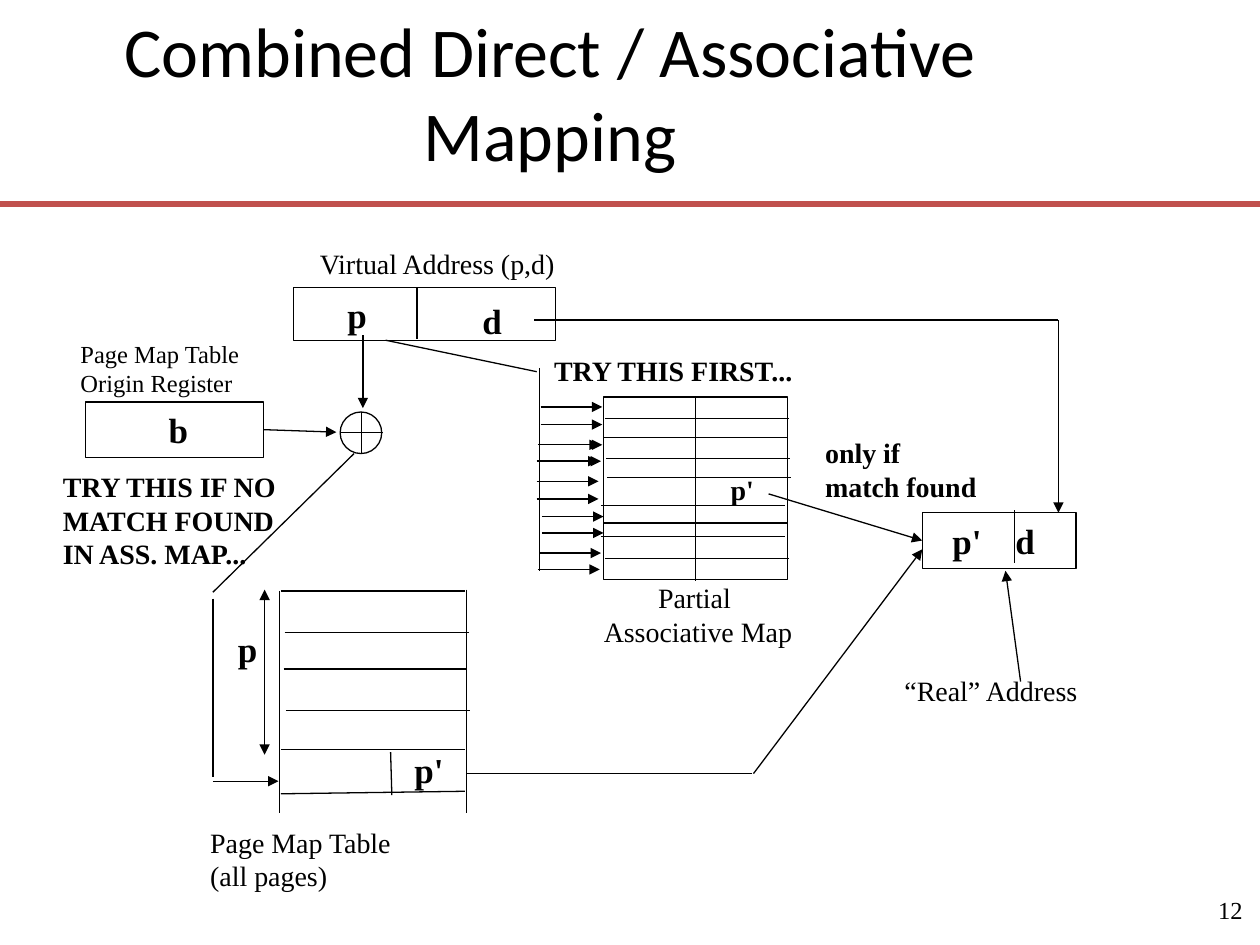
"""Build the slide on combined direct and associative page mapping."""
from lxml import etree
from pptx import Presentation
from pptx.dml.color import RGBColor
from pptx.enum.shapes import MSO_CONNECTOR, MSO_SHAPE
from pptx.enum.text import MSO_ANCHOR, PP_ALIGN
from pptx.oxml.ns import qn
from pptx.util import Pt

PX = 9144
RECT, OVAL = MSO_SHAPE.RECTANGLE, MSO_SHAPE.OVAL
STRAIGHT = MSO_CONNECTOR.STRAIGHT
TOP, MIDDLE = MSO_ANCHOR.TOP, MSO_ANCHOR.MIDDLE
LEFT, CENTER, RIGHT = PP_ALIGN.LEFT, PP_ALIGN.CENTER, PP_ALIGN.RIGHT
COLORS = {"ink": "000000", "rule": "C0504D"}
SERIF = "Times New Roman"

prs = Presentation()
prs.slide_width, prs.slide_height = 1000 * PX, 750 * PX
s = prs.slides.add_slide(prs.slide_layouts[6])


def write(sp, text, size=16, bold=False, font=SERIF, align=LEFT,
          anchor=TOP, wrap=False, indent=0, tab=0):
    tf = sp.text_frame
    tf.word_wrap, tf.vertical_anchor = wrap, anchor
    for i, part in enumerate(text.split("\n")):
        p = tf.paragraphs[0] if i == 0 else tf.add_paragraph()
        p.text, p.alignment = part, align
        pPr = p._p.get_or_add_pPr()
        pPr.set("marL", str(indent * PX))
        pPr.set("indent", "0")
        if tab:
            tabs = etree.SubElement(pPr, qn("a:tabLst"))
            etree.SubElement(tabs, qn("a:tab"), pos=str(tab * PX), algn="l")
        for r in p.runs:
            r.font.size, r.font.bold, r.font.name = Pt(size), bold, font
            r.font.color.rgb = RGBColor.from_string(COLORS["ink"])


def line(x1, y1, x2, y2, ends=(), color="ink", width=0.75):
    c = s.shapes.add_connector(STRAIGHT, *(v * PX for v in (x1, y1, x2, y2)))
    c.line.color.rgb = RGBColor.from_string(COLORS[color])
    c.line.width = Pt(width)
    ln = c.line._get_or_add_ln()
    for end in ends:
        etree.SubElement(ln, qn(f"a:{end}"), type="triangle")
    etree.SubElement(c._element.spPr, qn("a:effectLst"))
    return c


ARROW = ("tailEnd",)
BOTH = ("headEnd", "tailEnd")

line(0, 162, 1000, 162, color="rule", width=3.5)

shapes = {}
for name, kind, box in [
    ("virtual", RECT, (233, 228, 208, 42)),
    ("adder", OVAL, (270, 327, 33, 33)),
    ("real", RECT, (732, 407, 122, 44)),
    ("origin", RECT, (68, 319, 141, 44)),
    ("map", RECT, (479, 315, 146, 145)),
]:
    sp = s.shapes.add_shape(kind, *(v * PX for v in box))
    sp.shadow.inherit = False
    sp.fill.background()
    sp.line.color.rgb = RGBColor.from_string(COLORS["ink"])
    sp.line.width = Pt(0.75)
    shapes[name] = sp

write(shapes["real"], "p'\td", size=20, bold=True, wrap=True, indent=14, tab=79)
write(shapes["origin"], "b", size=20, bold=True, wrap=True, indent=56)

for text, box, style in [
    ("Combined Direct / Associative Mapping", (50, 30, 773, 85),
     dict(size=40, font="Calibri", align=CENTER, anchor=MIDDLE, wrap=True)),
    ("12", (941, 698, 55, 48),
     dict(size=14, align=RIGHT, anchor=MIDDLE, wrap=True)),
    ("Virtual Address (p,d)", (244, 191, 210, 37), {}),
    ("p", (266, 228, 36, 43), dict(size=20, bold=True)),
    ("d", (373, 233, 36, 43), dict(size=20, bold=True)),
    ("Page Map Table \vOrigin Register", (54, 264, 153, 57), dict(size=14)),
    ("TRY THIS IF NO \vMATCH FOUND \vIN ASS. MAP...", (40, 368, 198, 90),
     dict(bold=True)),
    ("p", (179, 493, 36, 43), dict(size=20, bold=True)),
    ("p'", (319, 589, 43, 43), dict(size=20, bold=True)),
    ("Page Map Table\n(all pages)", (157, 650, 166, 64), {}),
    ("TRY THIS FIRST...", (430, 276, 213, 37), dict(bold=True)),
    ("p'", (570, 370, 39, 37), dict(bold=True)),
    ("Partial \nAssociative Map", (469, 456, 170, 64), dict(align=CENTER)),
    ("only if \vmatch found", (645, 341, 141, 64), dict(bold=True)),
    ("“Real” Address", (708, 530, 159, 37), {}),
]:
    write(s.shapes.add_textbox(*(v * PX for v in box)), text, **style)

# (x1, y1, x2, y2) dividers and paths without arrowheads
for ends in [
    (331, 228, 331, 269), (287, 327, 287, 360), (270, 343, 304, 343),
    (805, 405, 805, 447), (552, 316, 552, 461), (310, 597, 311, 631),
    (222, 469, 222, 645), (370, 468, 370, 645), (223, 630, 369, 628),
    (424, 254, 840, 254), (306, 270, 426, 295), (428, 292, 428, 453),
    (281, 360, 169, 470), (169, 475, 169, 617), (371, 614, 597, 614),
]:
    line(*ends)

PAGE_ROWS = [(223, 469), (226, 502), (225, 531), (227, 564), (223, 595)]
MAP_ROWS = [(480, 332), (479, 347), (481, 364), (482, 379), (477, 401),
            (479, 415), (477, 426), (480, 443)]
for x, y in PAGE_ROWS + MAP_ROWS:
    line(x, y, x + 146, y)

SEARCH_ARROWS = [(429, 323), (429, 337), (427, 353), (429, 353), (426, 366),
                 (428, 366), (426, 382), (426, 396), (430, 410), (430, 423),
                 (428, 439), (427, 452)]
for x, y in SEARCH_ARROWS:
    line(x, y, x + 49, y, ARROW)

line(210, 468, 210, 599, BOTH)
for ends in [
    (288, 266, 288, 324), (840, 254, 840, 407), (810, 541, 798, 453),
    (169, 620, 221, 620), (598, 614, 732, 436),
]:
    line(*ends, ARROW)
line(209, 341, 267, 343, ARROW).begin_connect(shapes["origin"], 3)
line(610, 392, 732, 429, ARROW).end_connect(shapes["real"], 1)

prs.save("out.pptx")
